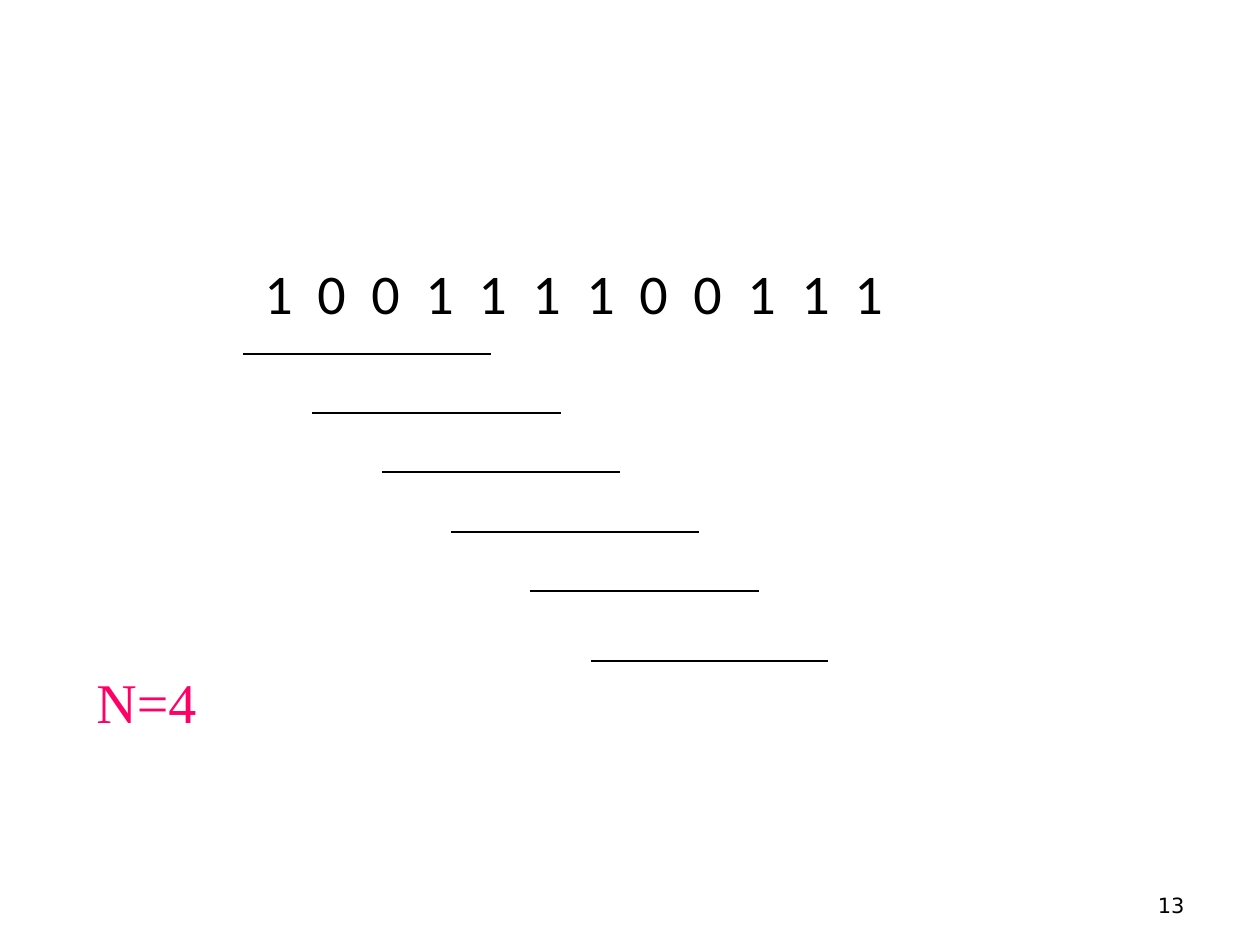
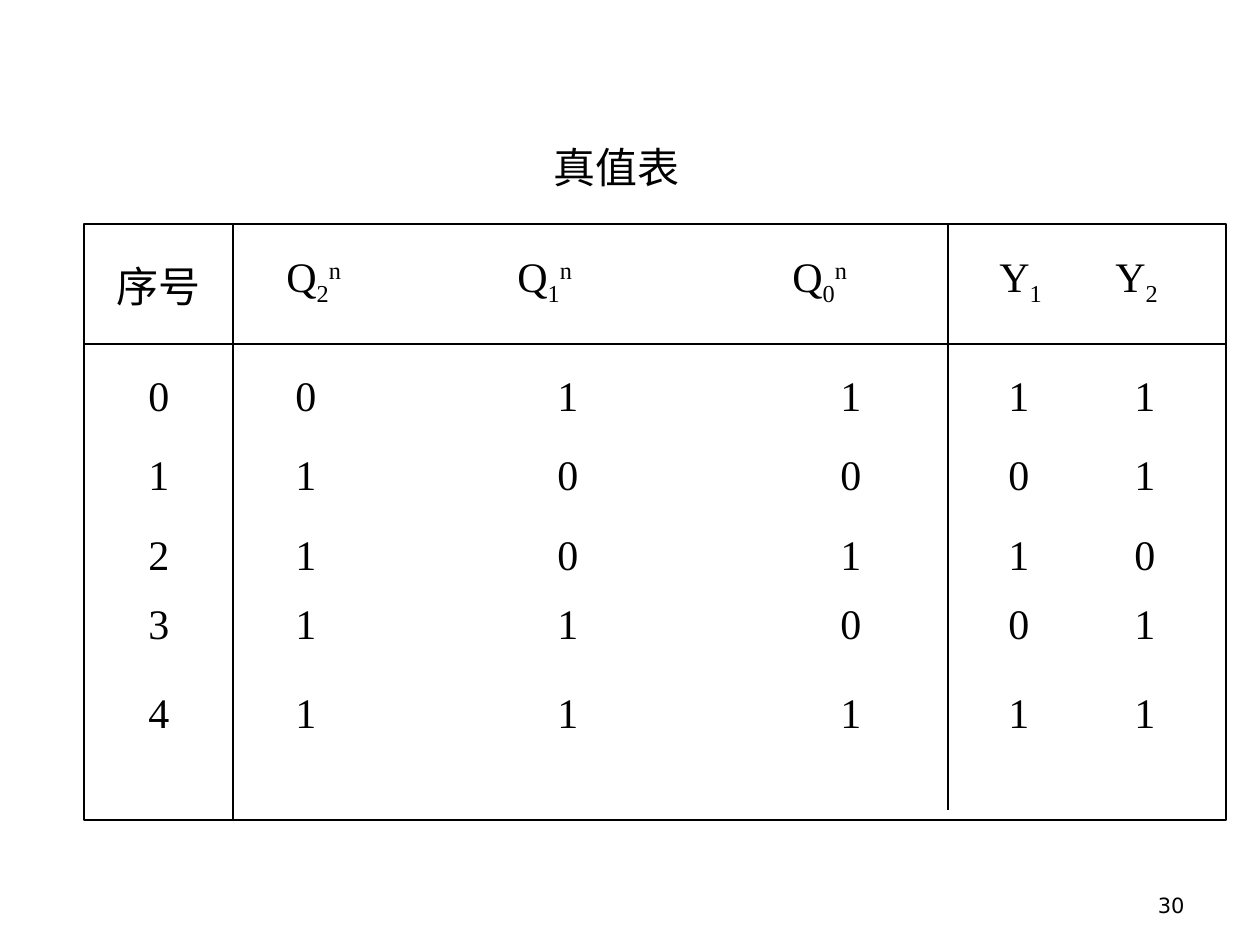
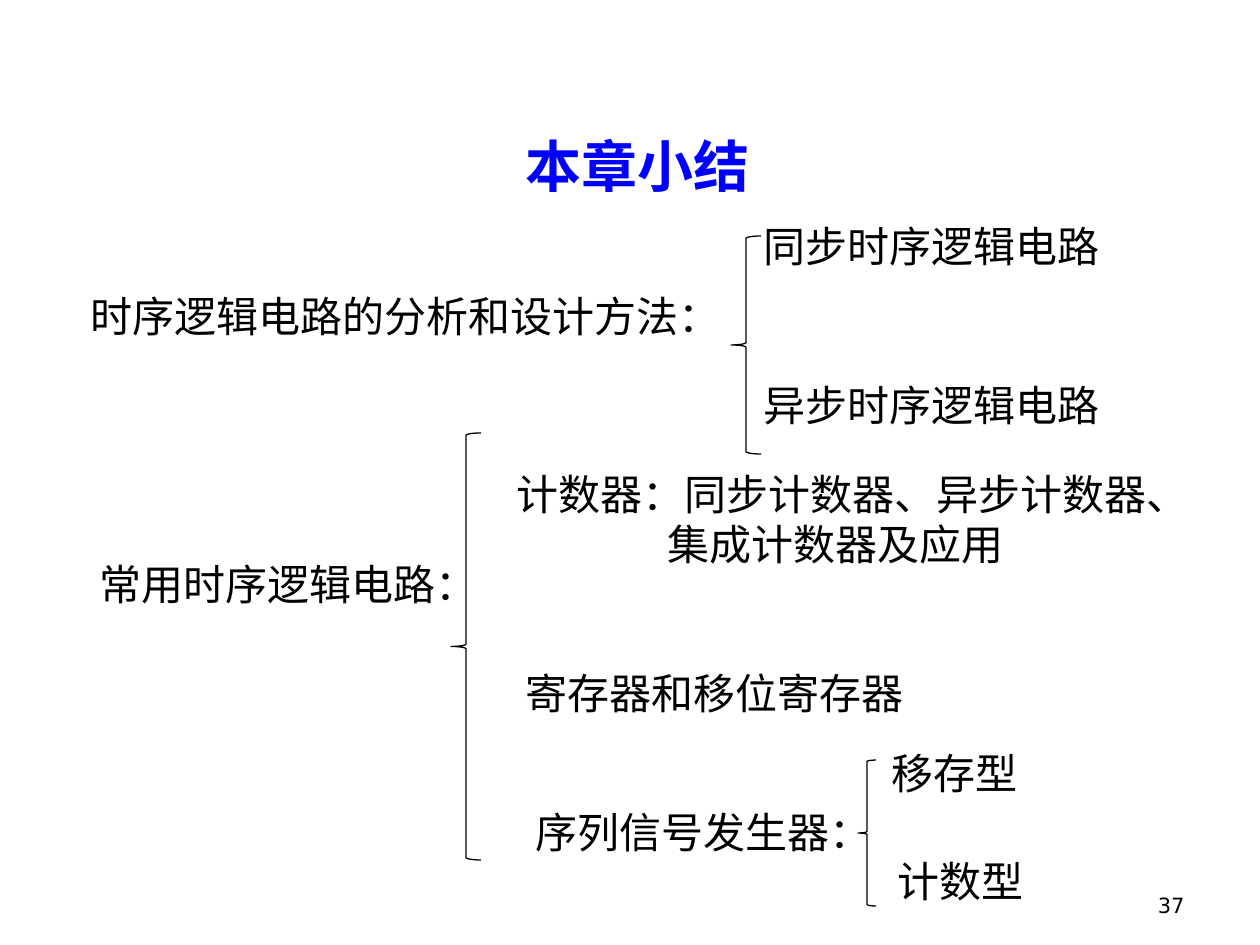
from lxml import etree
from pptx import Presentation
from pptx import util as u
from pptx.dml.color import RGBColor
from pptx.enum import shapes, text
from pptx.oxml import ns

BLACK = RGBColor(0, 0, 0)
WHITE = RGBColor(255, 255, 255)
PINK = RGBColor(255, 0, 102)
BLUE = RGBColor(0, 0, 255)
SERIF, SANS, BODY = "Times New Roman", "DejaVu Sans", "Calibri"
SCALE = 914400 / 126
BASE = {"_": "-25000", "^": "30000"}


def px(num):
    return u.Emu(round(num * SCALE))


class Deck:
    """Holds the style and the current slide."""

    def __init__(self):
        self.prs = Presentation()
        self.prs.slide_width, self.prs.slide_height = px(1260), px(945)

    def page(self, num):
        slide = self.prs.slides.add_slide(self.prs.slide_layouts[6])
        self.shapes = slide.shapes
        frame = self.text(903, 861, 294, 63, str(num), 12, SANS)
        frame.vertical_anchor = text.MSO_ANCHOR.BOTTOM
        frame.paragraphs[0].alignment = text.PP_ALIGN.RIGHT

    def text(self, x, y, w, h, words, size=24, face=SERIF, color=BLACK,
             bold=False, tabs=(), wrap=True):
        frame = self.shapes.add_textbox(px(x), px(y), px(w), px(h)).text_frame
        frame.word_wrap = wrap
        for i, line in enumerate(words.split("\n")):
            para = frame.add_paragraph() if i else frame.paragraphs[0]
            if tabs:
                self.stops(para, tabs)
            font = para.font
            font.size, font.name, font.bold = u.Pt(size), face, bold
            font.color.rgb = color
            self.runs(para, line)
        return frame

    def label(self, x, y, w, words, h=63, **style):
        # One-line text whose box grows with it
        frame = self.text(x, y, w, h, words, wrap=False, **style)
        frame.auto_size = text.MSO_AUTO_SIZE.SHAPE_TO_FIT_TEXT
        return frame

    def stops(self, para, tabs):
        props = para._p.get_or_add_pPr()
        group = etree.SubElement(props, ns.qn("a:tabLst"))
        for pos in tabs:
            etree.SubElement(group, ns.qn("a:tab"), pos=str(px(pos)), algn="l")

    def runs(self, para, line):
        # "_" lowers and "^" raises the one character that follows
        plain, mark = "", ""
        for char in line:
            if char in BASE:
                mark = char
            elif mark:
                if plain:
                    para.add_run().text = plain
                run = para.add_run()
                run.text = char
                run._r.get_or_add_rPr().set("baseline", BASE[mark])
                plain, mark = "", ""
            else:
                plain += char
        if plain:
            para.add_run().text = plain

    def line(self, x1, y1, x2, y2):
        link = self.shapes.add_connector(
            shapes.MSO_CONNECTOR.STRAIGHT, px(x1), px(y1), px(x2), px(y2))
        etree.SubElement(link._element.spPr, ns.qn("a:effectLst"))
        self.pen(link)

    def shape(self, kind, x, y, w, h):
        item = self.shapes.add_shape(kind, px(x), px(y), px(w), px(h))
        item.shadow.inherit = False
        item.fill.solid()
        item.fill.fore_color.rgb = WHITE
        self.pen(item)
        return item

    def brace(self, x, y, w, h):
        item = self.shape(shapes.MSO_SHAPE.LEFT_BRACE, x, y, w, h)
        item.adjustments[0] = 0.08

    def pen(self, item):
        item.line.color.rgb = BLACK
        item.line.width = u.Pt(0.75)


def window(deck):
    deck.page(13)
    bits = "100111100111"
    deck.text(252, 252, 732, 93, "\t".join(bits), 32, BODY,
              tabs=[k * 537 // 10 for k in range(1, len(bits))])
    # Sliding groups of four bits
    for x1, x2, y in [(243, 491, 354), (312, 561, 413), (382, 620, 472),
                      (451, 699, 532), (530, 759, 591), (591, 828, 661)]:
        deck.line(x1, y, x2, y)
    deck.text(84, 661, 179, 81, "N=4", 32, color=PINK)


def truth(deck):
    deck.page(30)
    # Frame and rules
    left, top, right, base = 84, 224, 1226, 820
    deck.shape(shapes.MSO_SHAPE.RECTANGLE, left, top, right - left, base - top)
    deck.line(left, 344, right, 344)
    deck.line(233, top, 233, base)
    deck.line(948, top, 948, 810)
    # Headings
    deck.label(541, 135, 151, "真值表")
    deck.text(104, 254, 129, 63, "序号")
    deck.text(253, 244, 655, 71, "\tQ_2^n\tQ_1^n\tQ_0^n", tabs=(21, 252, 527))
    deck.text(968, 244, 258, 71, "\tY_1\tY_2", tabs=(19, 135))
    # Rows
    rows = [(363, "001111"), (442, "110001"), (522, "210110"),
            (591, "311001"), (680, "411111")]
    for y, bits in rows:
        deck.text(94, y, 1091, 63, "\t" + "\t".join(bits),
                  tabs=(42, 189, 451, 734, 902, 1028))


def summary(deck):
    deck.page(37)
    deck.label(513, 125, 252, "本章小结", h=81, size=32, color=BLUE, bold=True)
    # Braces
    for box in [(451, 433, 30, 427), (731, 236, 30, 218), (858, 760, 18, 146)]:
        deck.brace(*box)
    # Topics
    for x, y, w, words in [
            (78, 284, 656, "时序逻辑电路的分析和设计方法："),
            (751, 214, 363, "同步时序逻辑电路"),
            (751, 373, 363, "异步时序逻辑电路"),
            (87, 552, 404, "常用时序逻辑电路："),
            (513, 661, 404, "寄存器和移位寄存器"),
            (523, 800, 363, "序列信号发生器："),
            (879, 741, 152, "移存型"),
            (885, 849, 152, "计数型")]:
        deck.label(x, y, w, words)
    frame = deck.label(
        504, 462, 698, "计数器：同步计数器、异步计数器、\n集成计数器及应用", h=113)
    frame.paragraphs[1]._p.get_or_add_pPr().set("marL", str(px(151)))


def main():
    deck = Deck()
    for build in (window, truth, summary):
        build(deck)
    deck.prs.save("out.pptx")


if __name__ == "__main__":
    main()
